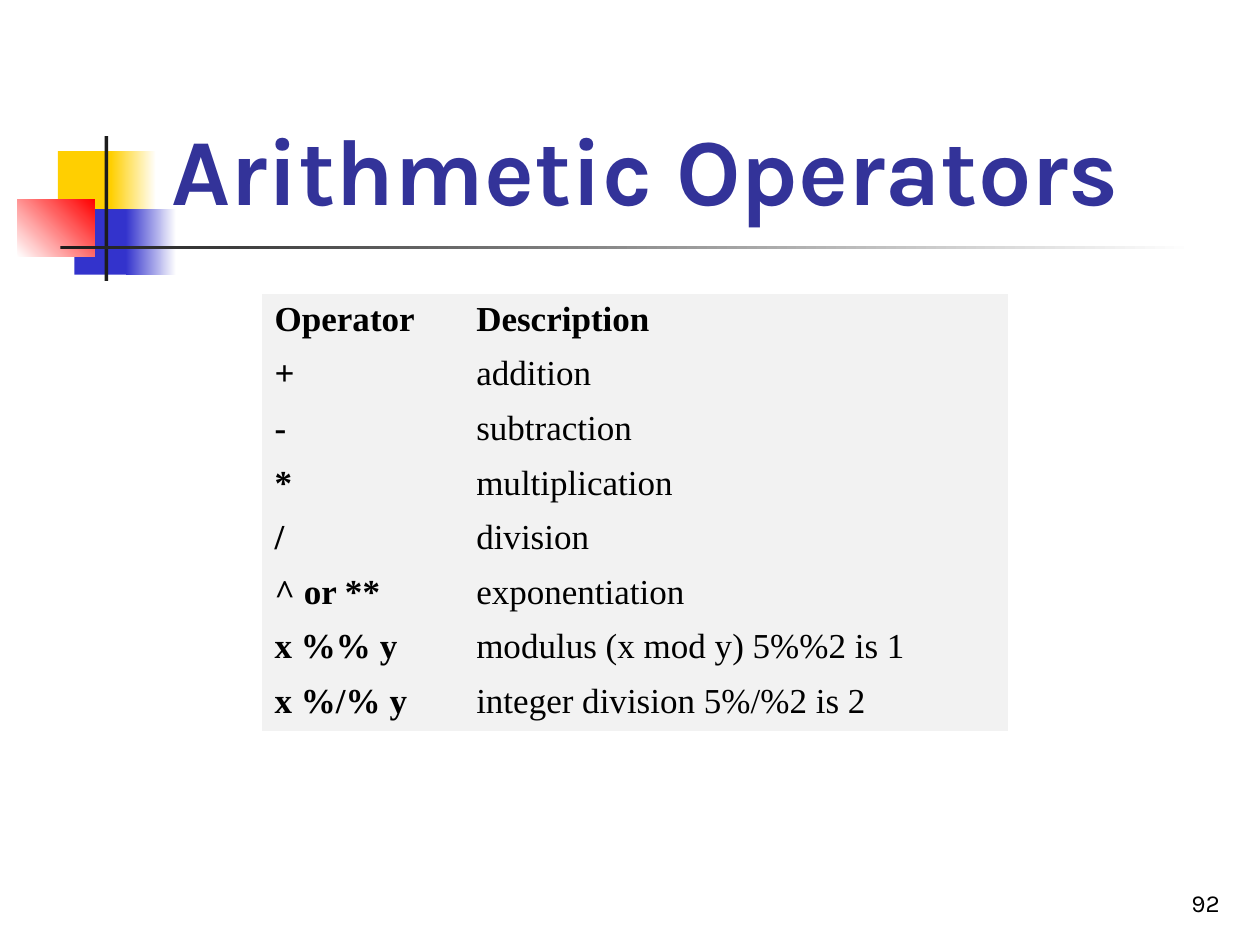
from lxml.etree import SubElement
from pptx import Presentation
from pptx.dml.color import RGBColor
from pptx.enum.shapes import MSO_SHAPE
from pptx.enum.text import MSO_ANCHOR, MSO_AUTO_SIZE, PP_ALIGN
from pptx.oxml.ns import qn
from pptx.util import Inches, Pt

ACCENTS = [
    ((0.46, 1.2, 0.48, 0.52), ("FFCF01",), 0),
    ((0.88, 1.2, 0.36, 0.52), ("FFCF01", "FFFFFF"), 0),
    ((0.59, 1.66, 0.46, 0.52), ("3333CC",), 0),
    ((1, 1.66, 0.4, 0.52), ("3333CC", "FFFFFF"), 0),
    ((0.14, 1.58, 0.61, 0.46), ("FFFFFF", "FF0000"), 45),
    ((0.83, 1.08, 0.03, 1.15), ("1C1C1C",), 0),
    ((0.48, 1.95, 9, 0.03), ("1C1C1C", "FFFFFF"), 0),
]
OPERATORS = [
    ("Operator", "Description"),
    ("+", "addition"),
    ("-", "subtraction"),
    ("*", "multiplication"),
    ("/", "division"),
    ("^ or **", "exponentiation"),
    ("x %% y", "modulus (x mod y) 5%%2 is 1"),
    ("x %/% y", "integer division 5%/%2 is 2"),
]
COLUMN_WIDTHS = (1.6, 4.32)


def color(value):
    """Turn a hex string into a colour."""
    return RGBColor.from_string(value)


def box(left, top, width, height):
    """Turn a place given in inches into lengths."""
    return [Inches(length) for length in (left, top, width, height)]


def style(paragraph, name, size, tint, bold=False):
    """Set the font of a paragraph."""
    font = paragraph.font
    font.name, font.size, font.bold = name, Pt(size), bold
    font.color.rgb = color(tint)


def add_accent(slide, place, tints, angle):
    """Add a borderless rectangle in one colour or a gradient of two."""
    accent = slide.shapes.add_shape(MSO_SHAPE.RECTANGLE, *box(*place))
    accent.shadow.inherit = False
    accent.line.fill.background()
    if len(tints) == 1:
        accent.fill.solid()
        accent.fill.fore_color.rgb = color(tints[0])
        return
    accent.fill.gradient()
    accent.fill.gradient_angle = angle
    for position, (stop, tint) in enumerate(zip(accent.fill.gradient_stops, tints)):
        stop.position = position
        stop.color.rgb = color(tint)


def set_title(slide, text):
    """Fill the title placeholder and bring it in front of the accents."""
    title = slide.shapes.title
    title.left, title.top, title.width, title.height = box(1.26, 0.23, 8.52, 1.6)
    frame = title.text_frame
    frame.text = text
    frame.auto_size = MSO_AUTO_SIZE.NONE
    frame.vertical_anchor = MSO_ANCHOR.BOTTOM
    frame.paragraphs[0].alignment = PP_ALIGN.LEFT
    style(frame.paragraphs[0], "Karla", 54, "333399", bold=True)
    slide.shapes._spTree.append(title._element)


def add_page_number(slide, number):
    """Add the page number at the lower right."""
    frame = slide.shapes.add_textbox(*box(7.7, 6.83, 2.08, 0.5)).text_frame
    frame.word_wrap = True
    frame.vertical_anchor = MSO_ANCHOR.BOTTOM
    frame.text = number
    frame.paragraphs[0].alignment = PP_ALIGN.RIGHT
    style(frame.paragraphs[0], "Karla", 14, "000000")


def format_cell(cell, text, bold):
    """Write a grey cell without borders."""
    cell.text = text
    style(cell.text_frame.paragraphs[0], "Times New Roman", 20, "000000", bold)
    properties = cell._tc.get_or_add_tcPr()
    for side in ("a:lnL", "a:lnR", "a:lnT", "a:lnB"):
        SubElement(SubElement(properties, qn(side)), qn("a:noFill"))
    cell.fill.solid()
    cell.fill.fore_color.rgb = color("F2F2F2")


def add_operator_table(slide):
    """Add the table of operators, with bold header and first column."""
    table = slide.shapes.add_table(
        len(OPERATORS), len(COLUMN_WIDTHS), *box(2.08, 2.33, sum(COLUMN_WIDTHS), 3.47)
    ).table
    table.horz_banding = False
    for column, width in zip(table.columns, COLUMN_WIDTHS):
        column.width = Inches(width)
    for row, entries in enumerate(OPERATORS):
        for column, text in enumerate(entries):
            format_cell(table.cell(row, column), text, row == 0 or column == 0)


def main():
    """Build the slide and save it."""
    presentation = Presentation()
    presentation.slide_width, presentation.slide_height = Inches(10), Inches(7.5)
    slide = presentation.slides.add_slide(presentation.slide_layouts[5])
    for place, tints, angle in ACCENTS:
        add_accent(slide, place, tints, angle)
    add_page_number(slide, "92")
    set_title(slide, "Arithmetic Operators")
    add_operator_table(slide)
    presentation.save("out.pptx")


if __name__ == "__main__":
    main()
